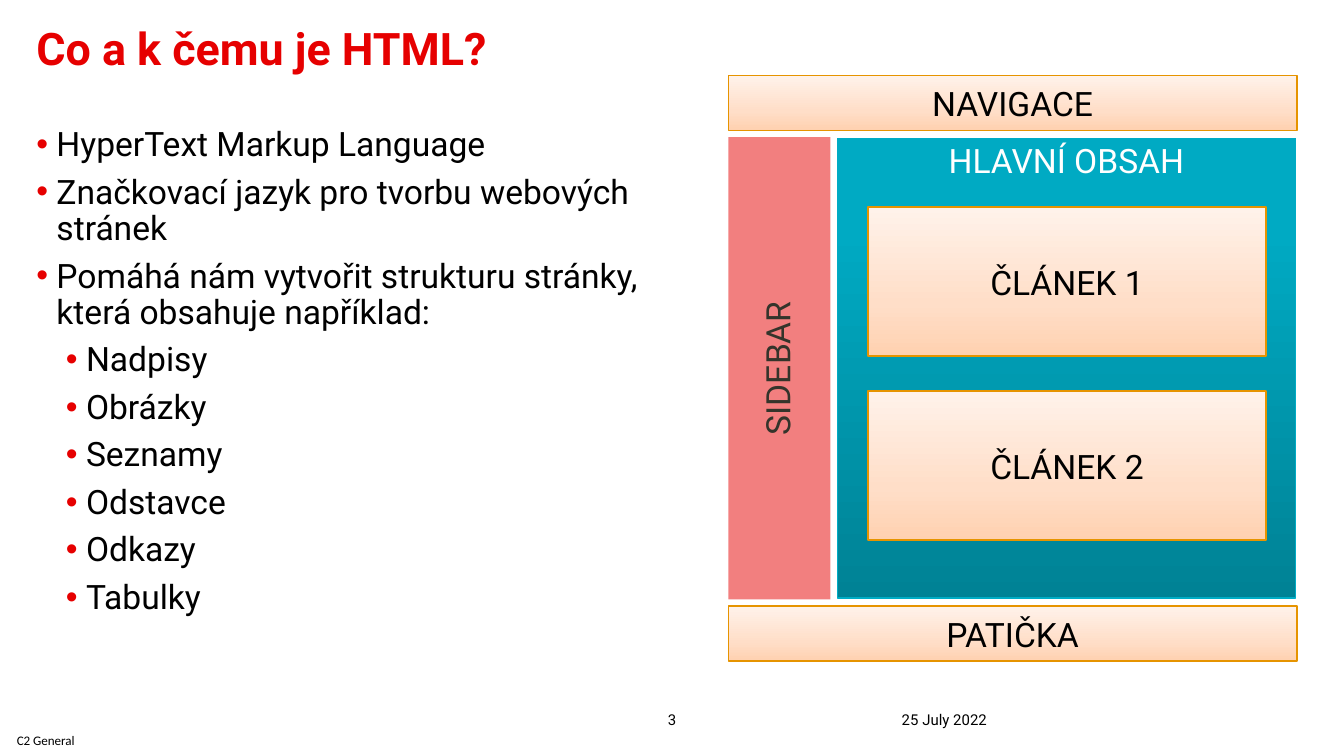
from lxml.etree import SubElement
from pptx import Presentation
from pptx.dml.color import RGBColor as Color
from pptx.enum.shapes import MSO_SHAPE as Shape
from pptx.enum.text import MSO_ANCHOR as Anchor, MSO_AUTO_SIZE as AutoSize, PP_ALIGN as Align
from pptx.oxml.ns import qn
from pptx.util import Inches, Pt

COLORS = {"red": "E60000", "black": "000000", "white": "FFFFFF", "olive": "34342B",
          "orange": "E69400", "cyan": "00ACC5"}
GRADIENTS = {"peach": [(0, "FFD1B0"), (35, "FFDEC8"), (100, "FFF2EA")],
             "teal": [(0, "008295"), (80, "00AAC3"), (100, "00ABC4")]}
BULLETS = [("HyperText Markup Language", 0),
           ("Značkovací jazyk pro tvorbu webových stránek", 0),
           ("Pomáhá nám vytvořit strukturu stránky, která obsahuje například:", 0),
           ("Nadpisy", 1), ("Obrázky", 1), ("Seznamy", 1),
           ("Odstavce", 1), ("Odkazy", 1), ("Tabulky", 1)]
PANELS = [("NAVIGACE", (54.2, 5.6, 42.3, 4.1), "peach"),
          ("HLAVNÍ OBSAH", (62.3, 10.3, 34.1, 34.2), "teal"),
          ("ČLÁNEK 1", (64.6, 15.4, 29.6, 11.1), "peach"),
          ("ČLÁNEK 2", (64.6, 29.1, 29.6, 11.1), "peach"),
          ("PATIČKA", (54.2, 45.1, 42.3, 4.1), "peach")]


class PageStyle:
    """Draws styled elements on one page, placed on a grid of 100 square columns."""

    def __init__(self, deck):
        self.cell = deck.slide_width / 100
        self.page = deck.slides.add_slide(deck.slide_layouts[1])

    def grid(self, place):
        return [round(value * self.cell) for value in place]

    def move(self, box, place):
        box.left, box.top, box.width, box.height = self.grid(place)

    def frame(self, box, anchor, inset=0.0):
        frame = box.text_frame
        frame.auto_size = AutoSize.NONE
        frame.word_wrap = True
        frame.vertical_anchor = anchor
        frame.margin_left = frame.margin_right = Inches(inset)
        frame.margin_top = frame.margin_bottom = Inches(inset)
        return frame

    def set_text(self, para, text, size, color="black", align=Align.LEFT, bold=False, font="Roboto"):
        para.text = text
        para.alignment = align
        para.font.name = font
        para.font.size = Pt(size)
        para.font.bold = bold
        para.font.color.rgb = Color.from_string(COLORS[color])

    def title(self, text, place):
        box = self.page.shapes.title
        self.move(box, place)
        para = self.frame(box, Anchor.TOP).paragraphs[0]
        para.line_spacing = 0.8
        self.set_text(para, text, 24, "red", bold=True)

    def bullets(self, items, place):
        box = self.page.placeholders[1]
        self.move(box, place)
        frame = self.frame(box, Anchor.TOP)
        for index, (text, level) in enumerate(items):
            para = frame.add_paragraph() if index else frame.paragraphs[0]
            para.level = level
            para.line_spacing = 0.9
            para.space_before = Pt(6 if index else 0)
            props = para._p.get_or_add_pPr()
            props.set("marL", str(Inches(0.15 + 0.22 * level)))
            props.set("indent", str(Inches(-0.15)))
            tint = SubElement(props, qn("a:buClr"))
            SubElement(tint, qn("a:srgbClr"), val=COLORS["red"])
            SubElement(props, qn("a:buFont"), typeface="Arial")
            SubElement(props, qn("a:buChar"), char="•")
            self.set_text(para, text, 18)

    def label(self, text, place, size, anchor, align=Align.CENTER, font="Roboto"):
        box = self.page.shapes.add_textbox(*self.grid(place))
        self.set_text(self.frame(box, anchor).paragraphs[0], text, size, align=align, font=font)

    def block(self, text, place, color, anchor=Anchor.MIDDLE):
        box = self.page.shapes.add_shape(Shape.RECTANGLE, *self.grid(place))
        box.shadow.inherit = False
        para = self.frame(box, anchor, 0.01).paragraphs[0]
        self.set_text(para, text, 18, color, Align.CENTER)
        return box

    def panel(self, text, place, gradient):
        teal = gradient == "teal"
        box = self.block(text, place, "white" if teal else "black",
                         Anchor.TOP if teal else Anchor.MIDDLE)
        box.fill.gradient()
        box.fill.gradient_angle = 90
        stops = box._element.spPr.find(".//" + qn("a:gsLst"))
        stops.clear()
        for position, tone in GRADIENTS[gradient]:
            stop = SubElement(stops, qn("a:gs"), pos=str(position * 1000))
            SubElement(stop, qn("a:srgbClr"), val=tone)
        box.line.color.rgb = Color.from_string(COLORS["cyan" if teal else "orange"])
        box.line.width = Pt(0.75)

    def sidebar(self, text, place):
        box = self.block(text, place, "olive")
        box.rotation = 270
        box.fill.solid()
        box.fill.fore_color.rgb = Color.from_string(COLORS["red"])
        tone = box._element.spPr.find(qn("a:solidFill")).find(qn("a:srgbClr"))
        SubElement(tone, qn("a:alpha"), val="50000")
        box.line.fill.background()
        box.text_frame.paragraphs[0].line_spacing = 0.9


def main():
    deck = Presentation()
    deck.slide_width = Inches(10)
    deck.slide_height = deck.slide_width * 9 // 16
    style = PageStyle(deck)
    style.label("C2 General", (0, 54.4, 6.8, 1.4), 7, Anchor.MIDDLE, font="Calibri")
    style.label("3", (49.3, 52.8, 1.4, 1.4), 8, Anchor.BOTTOM)
    style.label("25 July 2022", (67.1, 52.8, 23.3, 1.4), 8, Anchor.BOTTOM, Align.LEFT)
    style.bullets(BULLETS, (2.7, 9.5, 46.1, 39.4))
    style.title("Co a k čemu je HTML?", (2.7, 2.3, 94.4, 7.3))
    style.sidebar("SIDEBAR", (40.8, 23.6, 34.4, 7.6))
    for text, place, gradient in PANELS:
        style.panel(text, place, gradient)
    deck.save("out.pptx")


if __name__ == "__main__":
    main()
